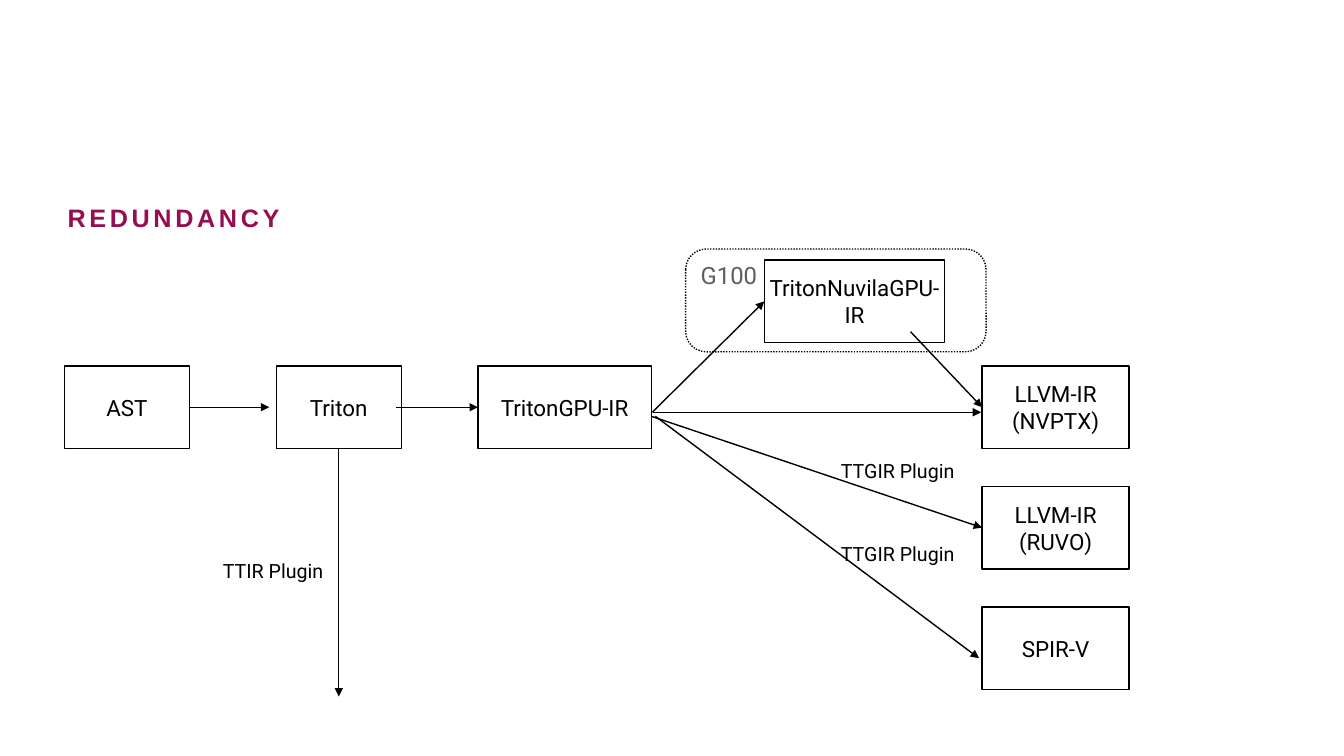
"""Builds the slide on redundancy between compiler stages."""
from pptx import Presentation
from pptx import util as u
from pptx.dml import color
from pptx.enum import dml, shapes, text
from pptx.oxml import ns, xmlchemy

HIGH = 0.82
ROW = 3.63


def rgb(code):
    """Return the colour for a hex string."""
    return color.RGBColor.from_string(code)


def style(frame, size, code, font="Roboto"):
    """Format every run of a text frame."""
    for par in frame.paragraphs:
        for run in par.runs:
            run.font.size = u.Pt(size)
            run.font.name = font
            run.font.color.rgb = rgb(code)


def inset(frame, gap):
    """Give a text frame the same margin on all sides."""
    frame.margin_left = frame.margin_right = u.Inches(gap)
    frame.margin_top = frame.margin_bottom = u.Inches(gap)


def outline(slide, kind, left, top, wide, high):
    """Add an unfilled shape with a thin black line."""
    shape = slide.shapes.add_shape(kind, *map(u.Inches, (left, top, wide, high)))
    shape.shadow.inherit = False
    shape.fill.background()
    shape.line.color.rgb = rgb("000000")
    shape.line.width = u.Pt(1)
    return shape


def stage(slide, words, left, top, wide):
    """Add a box that names one stage."""
    box = outline(slide, shapes.MSO_SHAPE.RECTANGLE, left, top, wide, HIGH)
    frame = box.text_frame
    frame.text = words
    frame.word_wrap = True
    frame.vertical_anchor = text.MSO_ANCHOR.MIDDLE
    inset(frame, 0.03)
    for par in frame.paragraphs:
        par.alignment = text.PP_ALIGN.CENTER
    style(frame, 16, "000000")
    return box


def label(slide, words, left, top, wide, high, size=14, code="000000"):
    """Add a short text beside an arrow or box."""
    box = slide.shapes.add_textbox(*map(u.Inches, (left, top, wide, high)))
    frame = box.text_frame
    frame.text = words
    frame.word_wrap = False
    frame.vertical_anchor = text.MSO_ANCHOR.MIDDLE
    inset(frame, 0.03)
    par = frame.paragraphs[0]
    par.line_spacing = 0.9
    par.space_before = u.Pt(22)
    style(frame, size, code)


def title(slide, words):
    """Add the spaced heading."""
    box = slide.shapes.add_textbox(*map(u.Inches, (0.67, 2.01, 6, 0.31)))
    frame = box.text_frame
    frame.text = words
    frame.word_wrap = True
    inset(frame, 0)
    style(frame, 18, "960E52", "Arial")
    run = frame.paragraphs[0].runs[0]
    run.font.bold = True
    run.font._element.set("spc", "260")


def arrow(slide, start, stop, begin=None, end=None):
    """Add an arrow, joined to a (box, side) where one is given."""
    line = slide.shapes.add_connector(
        shapes.MSO_CONNECTOR.STRAIGHT, *map(u.Inches, start + stop))
    line.line.color.rgb = rgb("000000")
    line.line.width = u.Pt(1)
    tip = xmlchemy.OxmlElement("a:tailEnd")
    tip.set("type", "triangle")
    props = line._element.spPr
    props.find(ns.qn("a:ln")).append(tip)
    props.append(xmlchemy.OxmlElement("a:effectLst"))
    if begin:
        line.begin_connect(*begin)
    if end:
        line.end_connect(*end)


def main():
    """Build and save the slide."""
    deck = Presentation()
    deck.slide_width = u.Inches(13.33)
    deck.slide_height = u.Inches(7.5)
    slide = deck.slides.add_slide(deck.slide_layouts[6])

    title(slide, "REDUNDANCY")
    tree = stage(slide, "AST", 0.64, ROW, 1.24)
    triton = stage(slide, "Triton", 2.74, ROW, 1.24)
    gpu = stage(slide, "TritonGPU-IR", 4.74, ROW, 1.72)
    extra = stage(slide, "TritonNuvilaGPU-IR", 7.58, 2.58, 1.79)
    names = ("LLVM-IR\v(NVPTX)", "LLVM-IR\n(RUVO)", "SPIR-V")
    outs = [stage(slide, name, 9.74, ROW + 1.195 * i, 1.46)
            for i, name in enumerate(names)]

    group = outline(slide, shapes.MSO_SHAPE.ROUNDED_RECTANGLE,
                    6.8, 2.47, 2.98, 1.02)
    group.adjustments[0] = 0.2
    group.line.dash_style = dml.MSO_LINE.ROUND_DOT
    label(slide, "G100", 6.92, 2.58, 0.63, 0.33, 17, "5E5E5E")
    for top in (4.55, 5.37):
        label(slide, "TTGIR Plugin", 8.31, top, 1.22, 0.27)
    label(slide, "TTIR Plugin", 2.18, 5.54, 1.07, 0.27)

    arrow(slide, (1.88, 4.04), (2.67, 4.04), begin=(tree, 3))
    arrow(slide, (3.93, 4.04), (4.74, 4.04), end=(gpu, 1))
    arrow(slide, (3.36, 4.45), (3.36, 6.91), begin=(triton, 2))
    arrow(slide, (6.47, 4.09), (7.58, 2.99), end=(extra, 1))
    arrow(slide, (9.03, 3.29), (9.74, 4.04), end=(outs[0], 1))
    arrow(slide, (6.48, 4.09), (9.73, 4.09))
    arrow(slide, (6.46, 4.13), (9.74, 5.23), end=(outs[1], 1))
    arrow(slide, (6.5, 4.13), (9.71, 6.53))
    deck.save("out.pptx")


if __name__ == "__main__":
    main()
